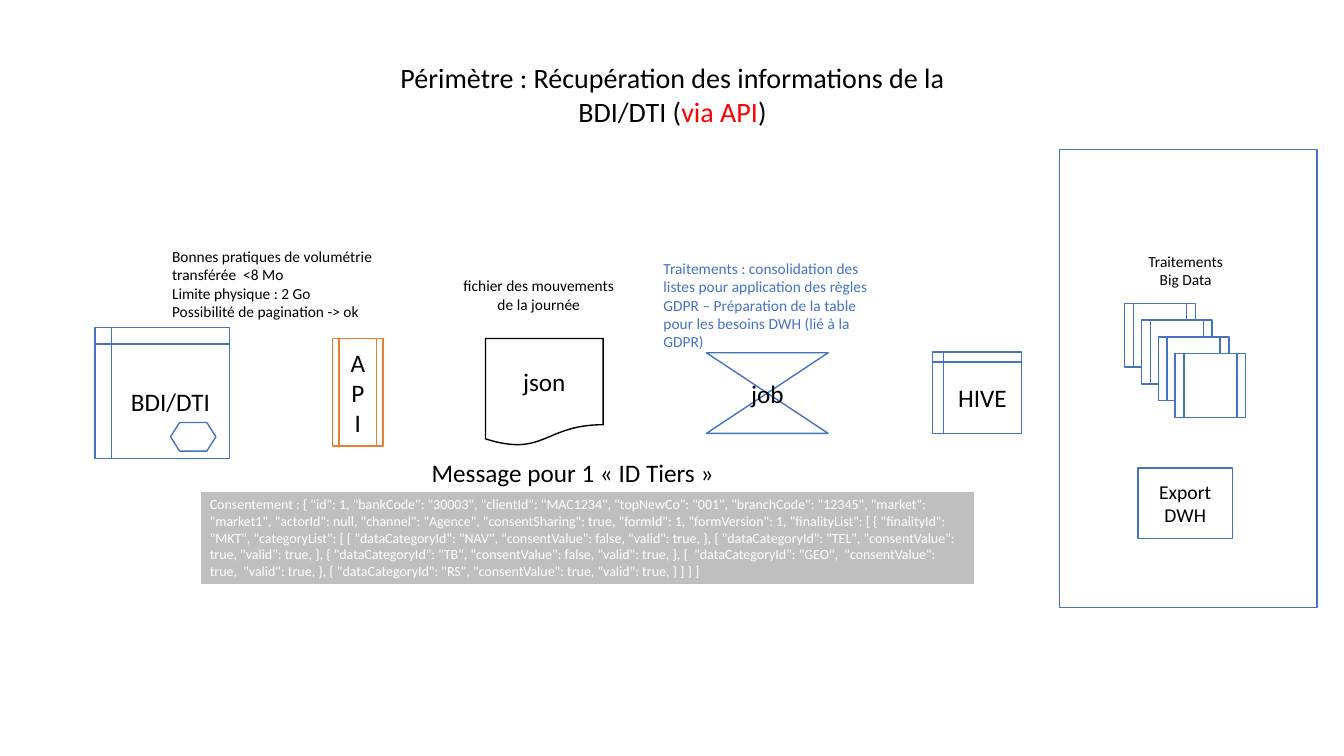
from pptx import Presentation, util as u
from pptx.dml.color import RGBColor
from pptx.enum import shapes, text

G = shapes.MSO_SHAPE
AL = text.PP_ALIGN
ANC = text.MSO_ANCHOR
COLS, ROWS = 160, 90
FONT = "Calibri"
C = {"black": "000000", "white": "FFFFFF", "blue": "4472C4",
     "orange": "ED7D31", "grey": "BFBFBF", "red": "FF0000"}

CONSENT = (
    'Consentement : { "id": 1, "bankCode": "30003", "clientId": "MAC1234", '
    '"topNewCo": "001", "branchCode": "12345", "market": "market1", '
    '"actorId": null, "channel": "Agence", "consentSharing": true, '
    '"formId": 1, "formVersion": 1, "finalityList": [ { "finalityId": "MKT", '
    '"categoryList": [ { "dataCategoryId": "NAV", "consentValue": false, '
    '"valid": true, }, { "dataCategoryId": "TEL", "consentValue": true, '
    '"valid": true, }, { "dataCategoryId": "TB", "consentValue": false, '
    '"valid": true, }, {  "dataCategoryId": "GEO",  "consentValue": true,  '
    '"valid": true, }, { "dataCategoryId": "RS", "consentValue": true, '
    '"valid": true, } ] } ]')

prs = Presentation()
prs.slide_width, prs.slide_height = u.Inches(13.33), u.Inches(7.5)


def rgb(name):
    return RGBColor.from_string(C[name])


def place(box, col, row, w, h):
    cw, rh = prs.slide_width / COLS, prs.slide_height / ROWS
    return (int((box[0] + col) * cw), int((box[1] + row) * rh),
            int(w * cw), int(h * rh))


def write(sp, lines, size, align=AL.LEFT, anchor=ANC.TOP, wrap=True):
    tf = sp.text_frame
    tf.word_wrap = wrap
    tf.auto_size = text.MSO_AUTO_SIZE.NONE
    tf.vertical_anchor = anchor
    for i, runs in enumerate(lines):
        p = tf.add_paragraph() if i else tf.paragraphs[0]
        p.alignment = align
        for words, color in runs:
            r = p.add_run()
            r.text = words
            r.font.size = u.Pt(size)
            r.font.name = FONT
            r.font.color.rgb = rgb(color)


def plain(words, color="black"):
    return [[(line, color)] for line in words.split("\n")]


def symbol(s, kind, pos, line="blue", label="", size=18, fill="white", width=1):
    sp = s.shapes.add_shape(kind, *pos)
    sp.shadow.inherit = False
    sp.fill.solid()
    sp.fill.fore_color.rgb = rgb(fill)
    sp.line.color.rgb = rgb(line)
    sp.line.width = u.Pt(width)
    if label:
        write(sp, plain(label), size, AL.CENTER, ANC.MIDDLE)
    return sp


def note(s, pos, words, size=11, color="black", align=AL.LEFT, wrap=True):
    sp = s.shapes.add_textbox(*pos)
    write(sp, plain(words, color), size, align, wrap=wrap)


def title(s, box):
    sp = s.shapes.title
    sp.left, sp.top, sp.width, sp.height = place(box, 0, 0, 73.9, 9.2)
    write(sp, [[("Périmètre : Récupération des informations de la BDI/DTI (", "black"),
                ("via API", "red"), (")", "black")]], 20, AL.CENTER)


def big_data_panel(s, box):
    symbol(s, G.FLOWCHART_PROCESS, place(box, 0, 0, 30.7, 54.5))
    for i in range(4):
        symbol(s, G.FLOWCHART_PREDEFINED_PROCESS,
               place(box, 7.8 + 2 * i, 18.3 + 2 * i, 8.4, 7.6))
    note(s, place(box, 9.3, 11.6, 11.5, 5.6), "Traitements\nBig Data",
         align=AL.CENTER, wrap=False)
    symbol(s, G.FLOWCHART_PROCESS, place(box, 9.4, 37.9, 11.2, 8.4),
           label="Export\nDWH", size=14)


def message(s, box):
    note(s, place(box, 26.4, 0, 36.4, 8.5), "Message pour 1 «\u00a0ID Tiers\u00a0»",
         18, wrap=False)
    sp = symbol(s, G.RECTANGLE, place(box, 0, 4.6, 92.3, 11.3), "white",
                fill="grey", width=1.5)
    write(sp, plain(CONSENT, "white"), 10)


def flow(s, box):
    steps = [
        (G.FLOWCHART_DOCUMENT, (46.5, 11.5, 14, 12.8), "black", "json"),
        (G.FLOWCHART_PREDEFINED_PROCESS, (28.3, 11.5, 6, 12.8), "orange", "API"),
        (G.FLOWCHART_COLLATE, (72.8, 13.2, 14.5, 9.6), "blue", "job"),
        (G.FLOWCHART_INTERNAL_STORAGE, (99.7, 13.1, 10.6, 9.7), "blue", "HIVE"),
        (G.FLOWCHART_INTERNAL_STORAGE, (0, 10.2, 16, 15.6), "blue", "BDI/DTI"),
        (G.FLOWCHART_PREPARATION, (9, 21.5, 5.4, 3.4), "blue", ""),
    ]
    for kind, cell, line, label in steps:
        symbol(s, kind, place(box, *cell), line, label)
    note(s, place(box, 8, 0, 31.1, 10.1),
         "Bonnes pratiques de volumétrie transférée  <8 Mo\n"
         "Limite physique : 2 Go\nPossibilité de pagination -> ok")
    note(s, place(box, 42, 3.5, 21.7, 5.6),
         "fichier des mouvements de la journée", align=AL.CENTER)
    note(s, place(box, 66.5, 1.4, 28.7, 12.4),
         "Traitements : consolidation des listes pour application des règles "
         "GDPR – Préparation de la table pour les besoins DWH (lié à la GDPR)",
         color="blue")


def main():
    s = prs.slides.add_slide(prs.slide_layouts[5])
    title(s, (43.1, 6.6))
    big_data_panel(s, (126.1, 17.8))
    message(s, (23.8, 53.8))
    flow(s, (11.3, 28.8))
    prs.save("out.pptx")


if __name__ == "__main__":
    main()
